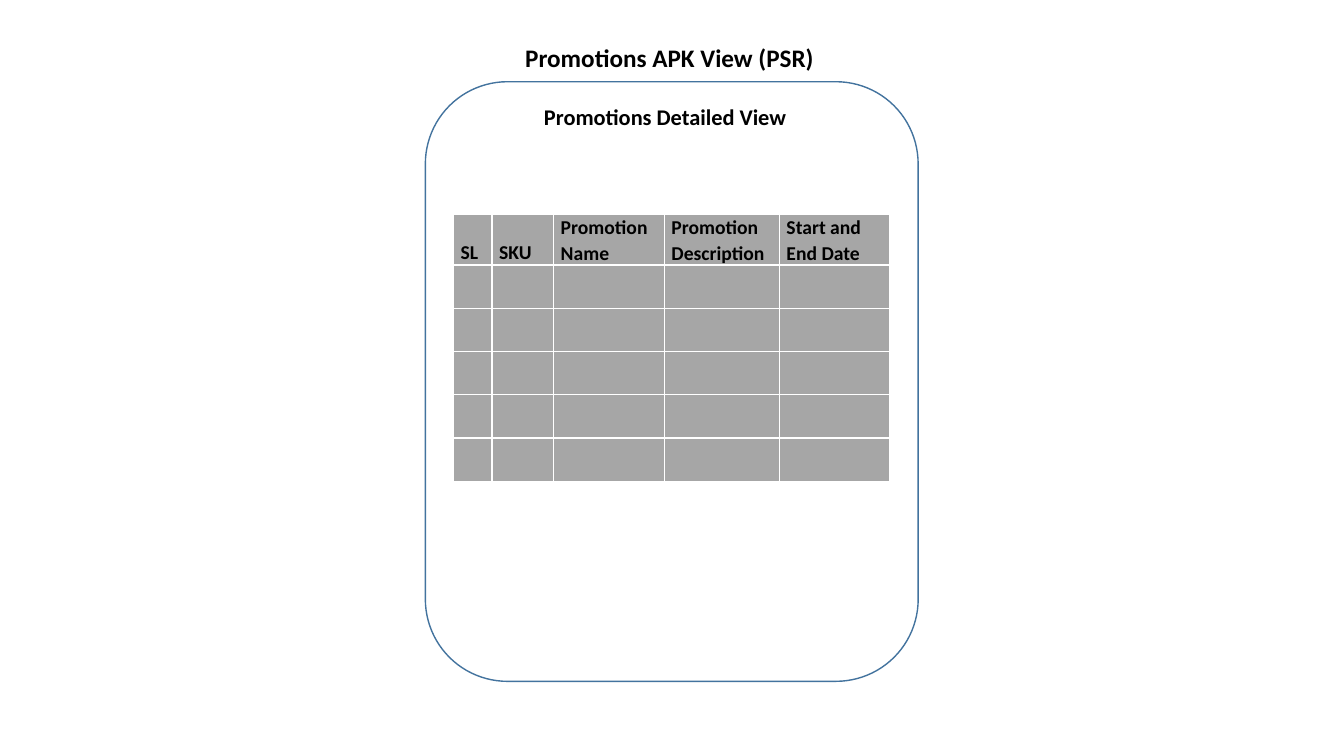
from pptx import Presentation
from pptx.dml.color import RGBColor
from pptx.enum.shapes import MSO_SHAPE
from pptx.enum.text import MSO_ANCHOR, PP_ALIGN
from pptx.util import Cm, Pt

ROUND = MSO_SHAPE.ROUNDED_RECTANGLE
MIDDLE, BOTTOM = MSO_ANCHOR.MIDDLE, MSO_ANCHOR.BOTTOM
LEFT = PP_ALIGN.LEFT


def color(code):
    return RGBColor.from_string(code)


def write(frame, text, size):
    """Put one bold, left-aligned paragraph in the frame."""
    frame.word_wrap = True
    para = frame.paragraphs[0]
    para.alignment = LEFT
    run = para.add_run()
    run.text = text
    look = {"name": "Calibri", "size": Pt(size), "bold": True}
    for key, value in look.items():
        setattr(run.font, key, value)
    run.font.color.rgb = color("000000")
    return para


deck = Presentation()
deck.slide_width, deck.slide_height = Cm(33.87), Cm(19.05)
slide = deck.slides.add_slide(deck.slide_layouts[5])
shapes = slide.shapes

# Title
title = shapes.title
place = {"left": 12.98, "top": 0.56, "width": 7.9, "height": 1.75}
for key, value in place.items():
    setattr(title, key, Cm(value))
title.text_frame.vertical_anchor = MIDDLE
write(title.text_frame, "Promotions APK View (PSR)", 18)

# Screen outline and its heading
screen = shapes.add_shape(ROUND, Cm(10.72), Cm(2.06), Cm(12.42), Cm(15.11))
screen.shadow.inherit = False
screen.fill.background()
screen.line.color.rgb = color("43739E")
screen.line.width = Pt(1)

heading = shapes.add_textbox(Cm(13.46), Cm(2.06), Cm(6.93), Cm(1.75))
heading.text_frame.vertical_anchor = MIDDLE
write(heading.text_frame, "Promotions Detailed View", 16)

# Promotions table; its default style draws the white borders
heads = {
    "SL": 0.97,
    "SKU": 1.55,
    "Promotion Name": 2.79,
    "Promotion Description": 2.9,
    "Start and End Date": 2.77,
}
rows = [1.22] + [1.09] * 5
table = shapes.add_table(
    len(rows), len(heads), Cm(11.43), Cm(5.41),
    Cm(sum(heads.values())), Cm(sum(rows)),
).table
table.horz_banding = False
for row, height in zip(table.rows, rows):
    row.height = Cm(height)
for cell in table.iter_cells():
    cell.fill.solid()
    cell.fill.fore_color.rgb = color("A6A6A6")

inset = {"margin_left": 0.18, "margin_right": 0.18,
         "margin_top": 0, "margin_bottom": 0}
for col, (text, width) in enumerate(heads.items()):
    table.columns[col].width = Cm(width)
    cell = table.cell(0, col)
    cell.vertical_anchor = BOTTOM
    for key, value in inset.items():
        setattr(cell, key, Cm(value))
    write(cell.text_frame, text, 14).line_spacing = 1.07

deck.save("out.pptx")
